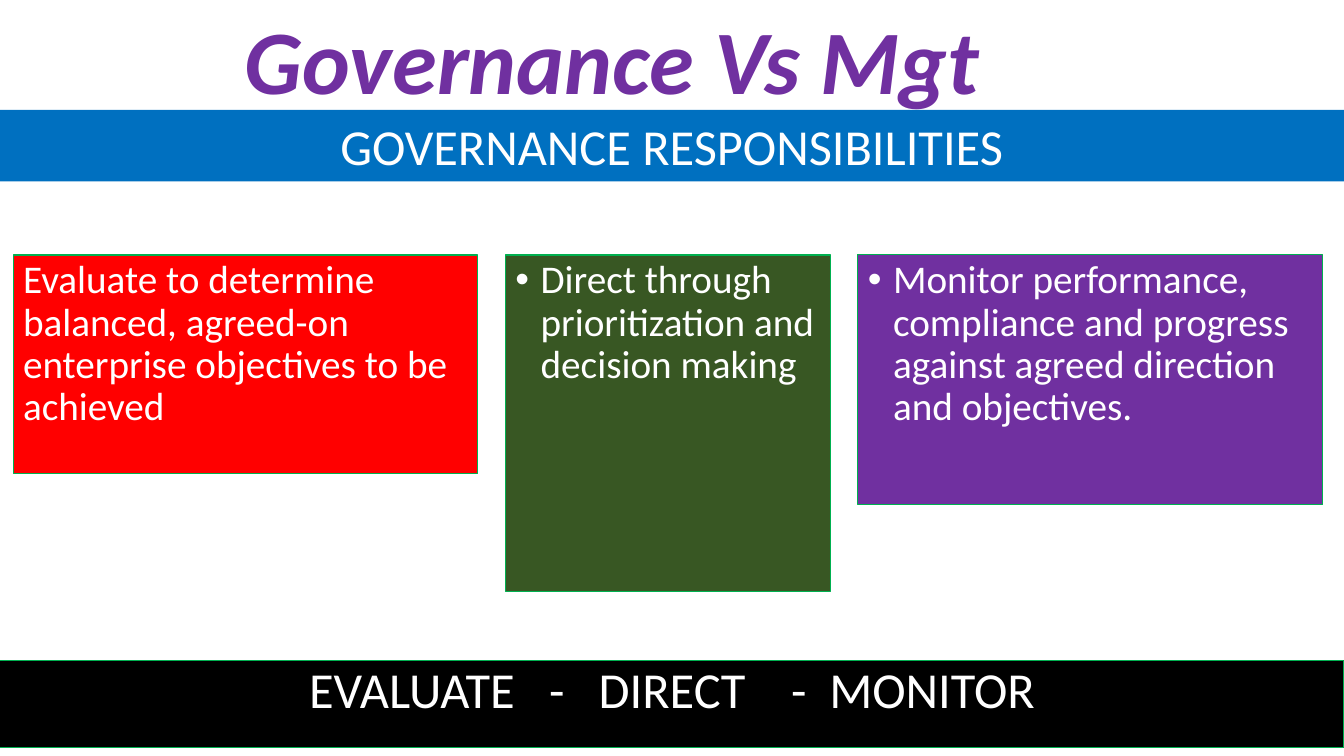
from dataclasses import dataclass

from lxml import etree
from pptx import Presentation
from pptx.dml.color import RGBColor
from pptx.enum.shapes import MSO_SHAPE
from pptx.enum.text import MSO_ANCHOR, PP_ALIGN
from pptx.oxml.ns import qn
from pptx.util import Inches, Pt

RECTANGLE = MSO_SHAPE.RECTANGLE
TOP, MIDDLE = MSO_ANCHOR.TOP, MSO_ANCHOR.MIDDLE
LEFT, CENTER = PP_ALIGN.LEFT, PP_ALIGN.CENTER

FONT = "Calibri"
COLORS = {
    "white": "FFFFFF", "purple": "7030A0", "blue": "0070C0", "red": "FF0000",
    "green": "385723", "black": "000000", "edge": "00B050",
}

# Grid of 100 columns by 100 rows over the whole slide
SLIDE_WIDTH, SLIDE_HEIGHT = Inches(13.33), Inches(7.5)
COLUMN, ROW = SLIDE_WIDTH / 100, SLIDE_HEIGHT / 100
CARD_LEFT, CARD_TOP, CARD_GAP = 0.98, 33.73, 2.06
BULLET_INDENT = Inches(0.25)


@dataclass
class Span:
    """Words with optional extra letter spacing in points."""
    text: str
    spacing: float = 0


@dataclass
class Box:
    """A block of text placed on the grid."""
    left: float
    top: float
    width: float
    height: float
    spans: list[Span]
    size: float = 36
    fill: str | None = None
    edge: bool = True
    color: str = "white"
    align: PP_ALIGN = CENTER
    anchor: MSO_ANCHOR = TOP
    line_spacing: float = 0.9
    space_before: float = 10
    emphasis: bool = False
    bullet: bool = False


@dataclass
class Card:
    """One responsibility in the middle row."""
    text: str
    width: float
    height: float
    fill: str
    bullet: bool = True


CARDS = [
    Card("Evaluate to determine balanced, agreed-on enterprise objectives to be achieved",
         34.58, 28.93, "red", bullet=False),
    Card("Direct through prioritization and decision making", 24.16, 44.53, "green"),
    Card("Monitor performance, compliance and progress against agreed direction and objectives.",
         34.58, 33.07, "purple"),
]
FOOTER_SPANS = [
    Span("EVALUATE"), Span(" ", 16.3), Span("-"), Span(" ", 16.3),
    Span("DIRECT"), Span(" ", 24.4), Span("-"), Span(" ", 8.1), Span("MONITOR"),
]


def rgb(name: str) -> RGBColor:
    """Look up a palette colour."""
    return RGBColor.from_string(COLORS[name])


def add_bullet(para) -> None:
    """Give a paragraph a hanging round bullet."""
    properties = para._p.get_or_add_pPr()
    properties.set("marL", str(BULLET_INDENT))
    properties.set("indent", str(-BULLET_INDENT))
    etree.SubElement(properties, qn("a:buFont")).set("typeface", "Arial")
    etree.SubElement(properties, qn("a:buChar")).set("char", "•")


def write_text(shape, box: Box) -> None:
    """Write and format the text of a box."""
    frame = shape.text_frame
    frame.word_wrap = True
    frame.vertical_anchor = box.anchor
    para = frame.paragraphs[0]
    para.alignment = box.align
    para.line_spacing = box.line_spacing
    para.space_before = Pt(box.space_before)
    if box.bullet:
        add_bullet(para)
    for span in box.spans:
        run = para.add_run()
        run.text = span.text
        run.font.name = FONT
        run.font.size = Pt(box.size)
        run.font.color.rgb = rgb(box.color)
        run.font.bold = run.font.italic = box.emphasis
        if span.spacing:
            run.font._element.set("spc", str(round(span.spacing * 100)))


def draw_box(page, box: Box) -> None:
    """Draw a filled rectangle, or a plain text box when there is no fill."""
    bounds = [round(length) for length in (
        box.left * COLUMN, box.top * ROW, box.width * COLUMN, box.height * ROW)]
    if box.fill is None:
        shape = page.shapes.add_textbox(*bounds)
    else:
        shape = page.shapes.add_shape(RECTANGLE, *bounds)
        shape.shadow.inherit = False
        shape.fill.solid()
        shape.fill.fore_color.rgb = rgb(box.fill)
        if box.edge:
            shape.line.color.rgb = rgb("edge")
            shape.line.width = Pt(0.75)
        else:
            shape.line.fill.background()
    write_text(shape, box)


def draw_cards(page) -> None:
    """Lay the cards out from left to right with equal gaps."""
    left = CARD_LEFT
    for card in CARDS:
        draw_box(page, Box(left, CARD_TOP, card.width, card.height, [Span(card.text)],
                           size=28, fill=card.fill, align=LEFT, bullet=card.bullet))
        left += card.width + CARD_GAP


deck = Presentation()
deck.slide_width, deck.slide_height = SLIDE_WIDTH, SLIDE_HEIGHT
page = deck.slides.add_slide(deck.slide_layouts[6])

draw_box(page, Box(2.4, 2.13, 86.27, 12.93, [Span("Governance Vs Mgt")], size=64.8,
                   color="purple", anchor=MIDDLE, space_before=0, emphasis=True))
draw_box(page, Box(0, 14.53, 100, 9.47, [Span("GOVERNANCE RESPONSIBILITIES")],
                   fill="blue", edge=False, line_spacing=1.0, space_before=0))
draw_cards(page)
draw_box(page, Box(0, 87.33, 100, 11.6, FOOTER_SPANS, fill="black"))

deck.save("out.pptx")
